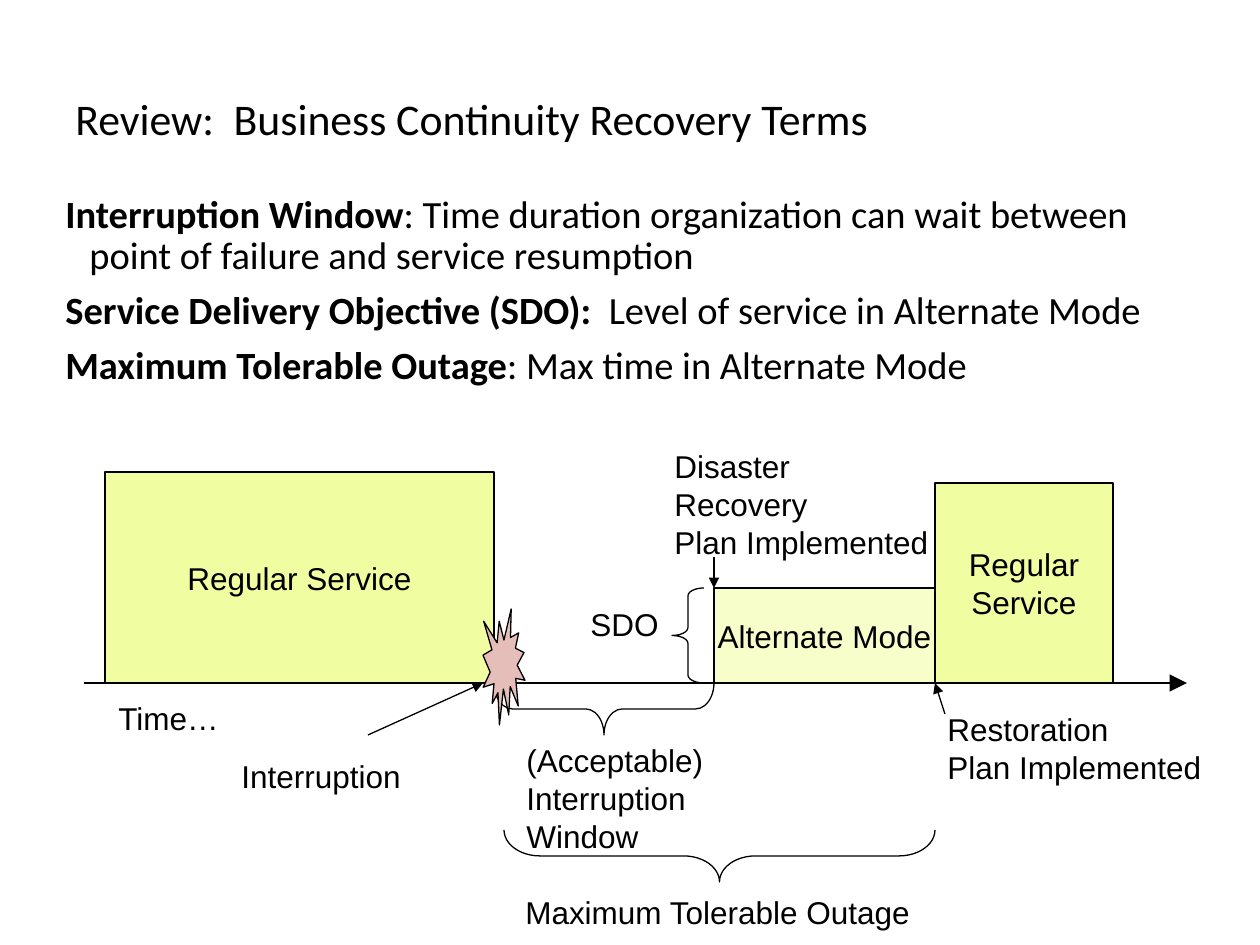
from dataclasses import dataclass

from lxml import etree
from pptx import Presentation
from pptx.dml.color import RGBColor
from pptx.enum.shapes import MSO_CONNECTOR as Connector, MSO_SHAPE as Shape
from pptx.enum.text import MSO_ANCHOR as Anchor, MSO_AUTO_SIZE as AutoSize, PP_ALIGN as Align
from pptx.oxml.ns import qn
from pptx.util import Emu, Pt

SCALE = 914400 // 126  # EMU in one px


@dataclass(frozen=True)
class Theme:
    ink: RGBColor = RGBColor(0, 0, 0)
    regular: RGBColor = RGBColor(0xF0, 0xFD, 0xA1)
    alternate: RGBColor = RGBColor(0xF7, 0xFE, 0xCA)
    burst: RGBColor = RGBColor(0xE5, 0xBD, 0xB9)
    heading_font: str = "Calibri"
    label_font: str = "Arial"
    title_size: int = 25
    body_size: int = 22
    label_size: int = 18
    line_width: float = 0.75


THEME = Theme()

# Points on the timeline, in px
AXIS_Y = 683
FAILURE_X = 494
RECOVERY_X = 714
RESTORED_X = 935
ALTERNATE_TOP = 588

TERMS = [
    ("Interruption Window",
     ": Time duration organization can wait between point of failure and service resumption"),
    ("Service Delivery Objective (SDO):", "  Level of service in Alternate Mode"),
    ("Maximum Tolerable Outage", ": Max time in Alternate Mode"),
]

# Text, left, top, width, height; each width leaves a little room beside the longest row
LABELS = [
    ("(Acceptable)\nInterruption\nWindow", 514, 735, 206, 126),
    ("Maximum Tolerable Outage", 513, 887, 417, 50),
    ("SDO", 578, 599, 98, 50),
    ("Interruption", 229, 751, 190, 50),
    ("Time…", 106, 693, 130, 50),
    ("Disaster\nRecovery\nPlan Implemented", 662, 441, 284, 126),
    ("Restoration\nPlan Implemented", 935, 704, 284, 88),
]


def px(*lengths):
    return [Emu(round(length * SCALE)) for length in lengths]


def style_runs(paragraph, font_name, size):
    for run in paragraph.runs:
        run.font.name = font_name
        run.font.size = Pt(size)
        run.font.color.rgb = THEME.ink


def add_title(slide, text, *box):
    frame = slide.shapes.add_textbox(*px(*box)).text_frame
    frame.word_wrap = True
    frame.vertical_anchor = Anchor.MIDDLE
    frame.text = text
    heading = frame.paragraphs[0]
    heading.line_spacing = 0.9
    style_runs(heading, THEME.heading_font, THEME.title_size)


def add_terms(slide, terms, *box):
    frame = slide.shapes.add_textbox(*px(*box)).text_frame
    frame.word_wrap = True
    hang = px(24)[0]
    for index, (term, meaning) in enumerate(terms):
        entry = frame.add_paragraph() if index else frame.paragraphs[0]
        entry.line_spacing = 0.9
        if index:
            entry.space_before = Pt(7.5)
        properties = entry._p.get_or_add_pPr()
        properties.set("marL", str(hang))
        properties.set("indent", str(-hang))
        for text, bold in ((term, True), (meaning, False)):
            part = entry.add_run()
            part.text = text
            part.font.bold = bold
        style_runs(entry, THEME.heading_font, THEME.body_size)


def add_label(slide, text, *box):
    frame = slide.shapes.add_textbox(*px(*box)).text_frame
    frame.word_wrap = False
    frame.auto_size = AutoSize.SHAPE_TO_FIT_TEXT
    frame.text = text
    for row in frame.paragraphs:
        style_runs(row, THEME.label_font, THEME.label_size)


def add_outlined(slide, kind, box, fill=None):
    shape = slide.shapes.add_shape(kind, *px(*box))
    shape.shadow.inherit = False
    if fill is None:
        shape.fill.background()
    else:
        shape.fill.solid()
        shape.fill.fore_color.rgb = fill
    shape.line.color.rgb = THEME.ink
    shape.line.width = Pt(THEME.line_width)
    return shape


def add_phase(slide, text, left, top, right, fill):
    box = (left, top, right - left, AXIS_Y - top)
    frame = add_outlined(slide, Shape.RECTANGLE, box, fill).text_frame
    frame.word_wrap = False
    frame.vertical_anchor = Anchor.MIDDLE
    frame.text = text
    for row in frame.paragraphs:
        row.alignment = Align.CENTER
        style_runs(row, THEME.label_font, THEME.label_size)


def add_brace(slide, kind, left, top, depth, length):
    """Each curve of the brace takes one twelfth of its length."""
    brace = add_outlined(slide, kind, (left, top, depth, length))
    brace.adjustments[0] = length / 12 / depth
    return brace


def add_brace_below(slide, start, end, top, depth=52):
    """A right brace turned a quarter, so that it points down."""
    length = end - start
    left = (start + end - depth) / 2
    upright_top = top + (depth - length) / 2
    add_brace(slide, Shape.RIGHT_BRACE, left, upright_top, depth, length).rotation = 90


def add_arrow(slide, start, end, head="med"):
    arrow = slide.shapes.add_connector(Connector.STRAIGHT, *px(*start, *end))
    arrow.line.color.rgb = THEME.ink
    arrow.line.width = Pt(THEME.line_width)
    etree.SubElement(arrow.line._get_or_add_ln(), qn("a:tailEnd"),
                     type="triangle", w=head, len=head)
    etree.SubElement(arrow._element.spPr, qn("a:effectLst"))


def main():
    deck = Presentation()
    deck.slide_width, deck.slide_height = px(1260, 945)
    slide = deck.slides.add_slide(deck.slide_layouts[6])

    # Heading and definitions
    add_title(slide, "Review:  Business Continuity Recovery Terms", 63, 95, 1134, 53)
    add_terms(slide, TERMS, 53, 189, 1134, 301)

    # Time axis and service phases
    add_arrow(slide, (84, AXIS_Y), (1187, AXIS_Y), head="lg")
    add_phase(slide, "Regular Service", 105, 472, FAILURE_X, THEME.regular)
    add_phase(slide, "Alternate Mode", RECOVERY_X, ALTERNATE_TOP, RESTORED_X, THEME.alternate)
    add_phase(slide, "Regular\nService", RESTORED_X, 483, 1113, THEME.regular)

    # Braces for the two time spans and the service level
    add_brace_below(slide, FAILURE_X, RECOVERY_X, AXIS_Y)
    add_brace_below(slide, 504, RESTORED_X, 830)
    add_brace(slide, Shape.LEFT_BRACE, 672, ALTERNATE_TOP, 32, AXIS_Y - ALTERNATE_TOP)

    # Interruption burst
    add_outlined(slide, Shape.EXPLOSION1, (483, 609, 42, 116), THEME.burst)

    # Labels and the arrows to their events
    for label in LABELS:
        add_label(slide, *label)
    add_arrow(slide, (368, 735), (483, AXIS_Y))
    add_arrow(slide, (RECOVERY_X, 557), (RECOVERY_X, ALTERNATE_TOP))
    add_arrow(slide, (945, 714), (RESTORED_X, AXIS_Y))

    deck.save("out.pptx")


if __name__ == "__main__":
    main()
